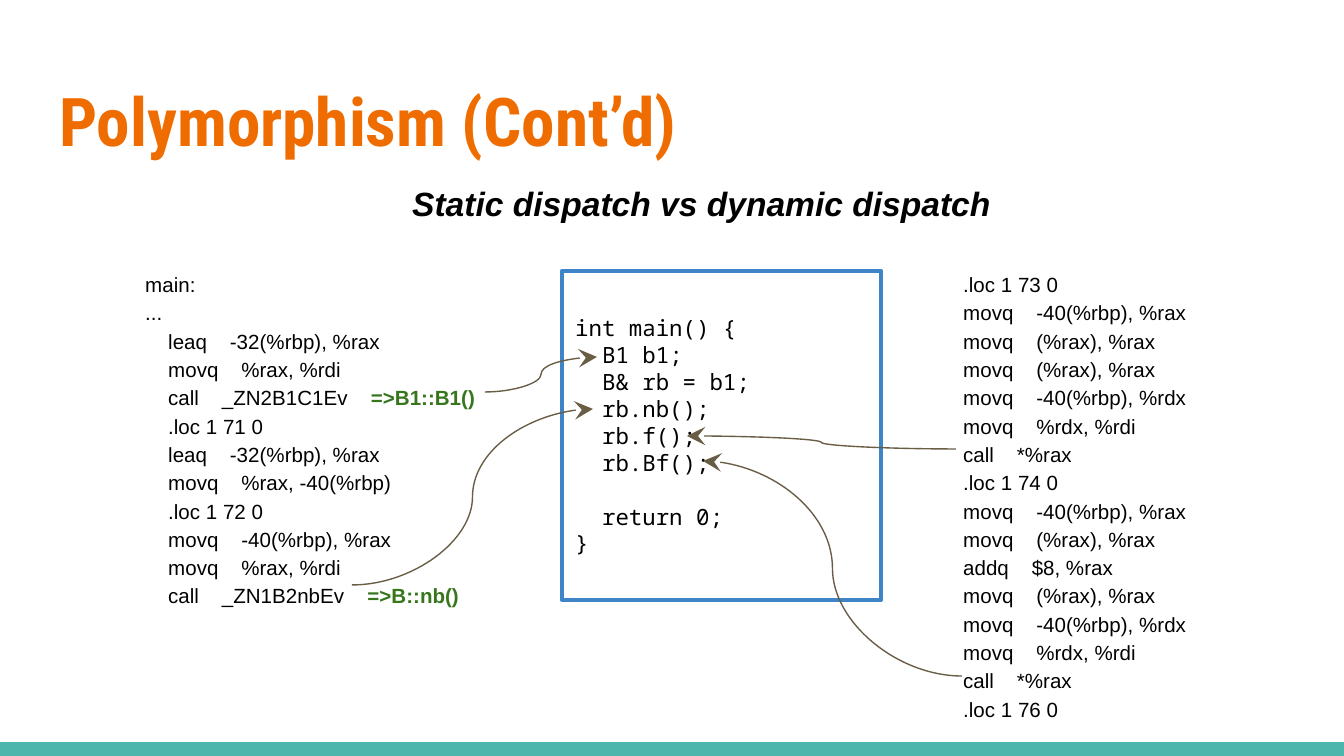
from lxml import etree
from pptx import Presentation
from pptx import util as u
from pptx.dml.color import RGBColor
from pptx.enum import shapes, text
from pptx.oxml.ns import qn

EMU_PER_PX = 6804
ORANGE = RGBColor(0xEF, 0x6C, 0x00)
TEAL = RGBColor(0x4D, 0xB6, 0xAC)
BLUE = RGBColor(0x3D, 0x85, 0xC6)
BROWN = RGBColor(0x69, 0x5D, 0x46)
GREEN = RGBColor(0x38, 0x76, 0x1D)
BLACK = RGBColor(0, 0, 0)

LISTING_MARGIN = 86
CODE_INDENT = 23

# Each listing line: (indent level, code, resolved call)
STATIC_CALLS = [
    (0, "main:", ""),
    (0, "...", ""),
    (1, "leaq    -32(%rbp), %rax", ""),
    (1, "movq    %rax, %rdi", ""),
    (1, "call    _ZN2B1C1Ev    ", "=>B1::B1()"),
    (1, ".loc 1 71 0", ""),
    (1, "leaq    -32(%rbp), %rax", ""),
    (1, "movq    %rax, -40(%rbp)", ""),
    (1, ".loc 1 72 0", ""),
    (1, "movq    -40(%rbp), %rax", ""),
    (1, "movq    %rax, %rdi", ""),
    (1, "call    _ZN1B2nbEv    ", "=>B::nb()"),
]
DYNAMIC_CALLS = [(1, code, "") for code in (
    ".loc 1 73 0",
    "movq    -40(%rbp), %rax",
    "movq    (%rax), %rax",
    "movq    (%rax), %rax",
    "movq    -40(%rbp), %rdx",
    "movq    %rdx, %rdi",
    "call    *%rax",
    ".loc 1 74 0",
    "movq    -40(%rbp), %rax",
    "movq    (%rax), %rax",
    "addq    $8, %rax",
    "movq    (%rax), %rax",
    "movq    -40(%rbp), %rdx",
    "movq    %rdx, %rdi",
    "call    *%rax",
    ".loc 1 76 0",
)]
MAIN_FUNCTION = ["int main() {", "  B1 b1;", "  B& rb = b1;", "  rb.nb();",
                 "  rb.f();", "  rb.Bf();", "  return 0;", "}"]

# Source line in main(), then the assembly call it compiles to
CALL_LINKS = [
    ((597, 357), (485, 392)),
    ((687, 436), (956, 449)),
    ((593, 409), (352, 585)),
    ((703, 461), (962, 676)),
]


def px(length):
    return u.Emu(length * EMU_PER_PX)


class SlideBuilder:
    sans, mono, heading = "Arial", "Noto Sans Mono", "Roboto Condensed"

    def __init__(self, slide):
        self.slide = slide

    def set_font(self, font, name, size, color=BLACK, bold=False, italic=False):
        font.name, font.size = name, u.Pt(size)
        font.bold, font.italic = bold, italic
        font.color.rgb = color

    def prepare_frame(self, frame, anchor=text.MSO_ANCHOR.TOP):
        frame.word_wrap = True
        frame.vertical_anchor = anchor
        frame.margin_left = frame.margin_right = u.Inches(0.1)
        frame.margin_top = frame.margin_bottom = u.Inches(0.1)
        return frame

    def text_frame(self, box):
        textbox = self.slide.shapes.add_textbox(*map(px, box))
        return self.prepare_frame(textbox.text_frame)

    def rectangle(self, box, fill=None, line=None):
        rect = self.slide.shapes.add_shape(
            shapes.MSO_SHAPE.RECTANGLE, *map(px, box))
        rect.shadow.inherit = False
        if fill is None:
            rect.fill.background()
        else:
            rect.fill.solid()
            rect.fill.fore_color.rgb = fill
        if line is None:
            rect.line.fill.background()
        else:
            rect.line.color.rgb = line
            rect.line.width = u.Pt(2.25)
        return rect

    def label(self, box, wording, *style, **emphasis):
        paragraph = self.text_frame(box).paragraphs[0]
        paragraph.text = wording
        self.set_font(paragraph.font, *style, **emphasis)

    def paragraphs(self, frame, count):
        yield frame.paragraphs[0]
        for _ in range(count - 1):
            yield frame.add_paragraph()

    def listing(self, box, lines):
        """Assembly listing whose resolved calls stand out in green."""
        frame = self.text_frame(box)
        for paragraph, (level, code, target) in zip(
                self.paragraphs(frame, len(lines)), lines):
            paragraph.line_spacing = 1.15
            margin = px(LISTING_MARGIN + level * CODE_INDENT)
            paragraph._p.get_or_add_pPr().set("marL", str(margin))
            self.set_font(paragraph.font, self.sans, 11)
            paragraph.add_run().text = code
            if target:
                call = paragraph.add_run()
                call.text = target
                call.font.bold = True
                call.font.color.rgb = GREEN

    def code_box(self, box, lines):
        frame = self.prepare_frame(self.rectangle(box, line=BLUE).text_frame,
                                   text.MSO_ANCHOR.MIDDLE)
        for paragraph, code in zip(self.paragraphs(frame, len(lines)), lines):
            paragraph.text = code
            paragraph.alignment = text.PP_ALIGN.LEFT
            self.set_font(paragraph.font, self.mono, 12)
            if "return" in code:
                paragraph.space_before = u.Pt(14.4)

    def curved_arrow(self, tip, tail):
        """Curve with its arrowhead at tip."""
        curve = self.slide.shapes.add_connector(
            shapes.MSO_CONNECTOR.CURVE, *map(px, tip + tail))
        curve.line.color.rgb = BROWN
        curve.line.width = u.Pt(0.75)
        etree.SubElement(curve.line._get_or_add_ln(), qn("a:headEnd"),
                         type="stealth", w="lg", len="lg")
        etree.SubElement(curve._element.spPr, qn("a:effectLst"))


def main():
    deck = Presentation()
    deck.slide_width, deck.slide_height = px(1344), px(756)
    page = SlideBuilder(deck.slides.add_slide(deck.slide_layouts[6]))

    page.rectangle((0, 742, 1344, 14), fill=TEAL)
    page.label((46, 66, 1252, 103), "Polymorphism (Cont’d)",
               page.heading, 36, ORANGE, bold=True)
    page.listing((46, 255, 477, 464), STATIC_CALLS)
    page.code_box((562, 271, 319, 329), MAIN_FUNCTION)
    page.listing((841, 255, 477, 464), DYNAMIC_CALLS)
    for tip, tail in CALL_LINKS:
        page.curved_arrow(tip, tail)
    page.label((399, 169, 622, 59), "Static dispatch vs dynamic dispatch",
               page.sans, 18, bold=True, italic=True)

    deck.save("out.pptx")


if __name__ == "__main__":
    main()
